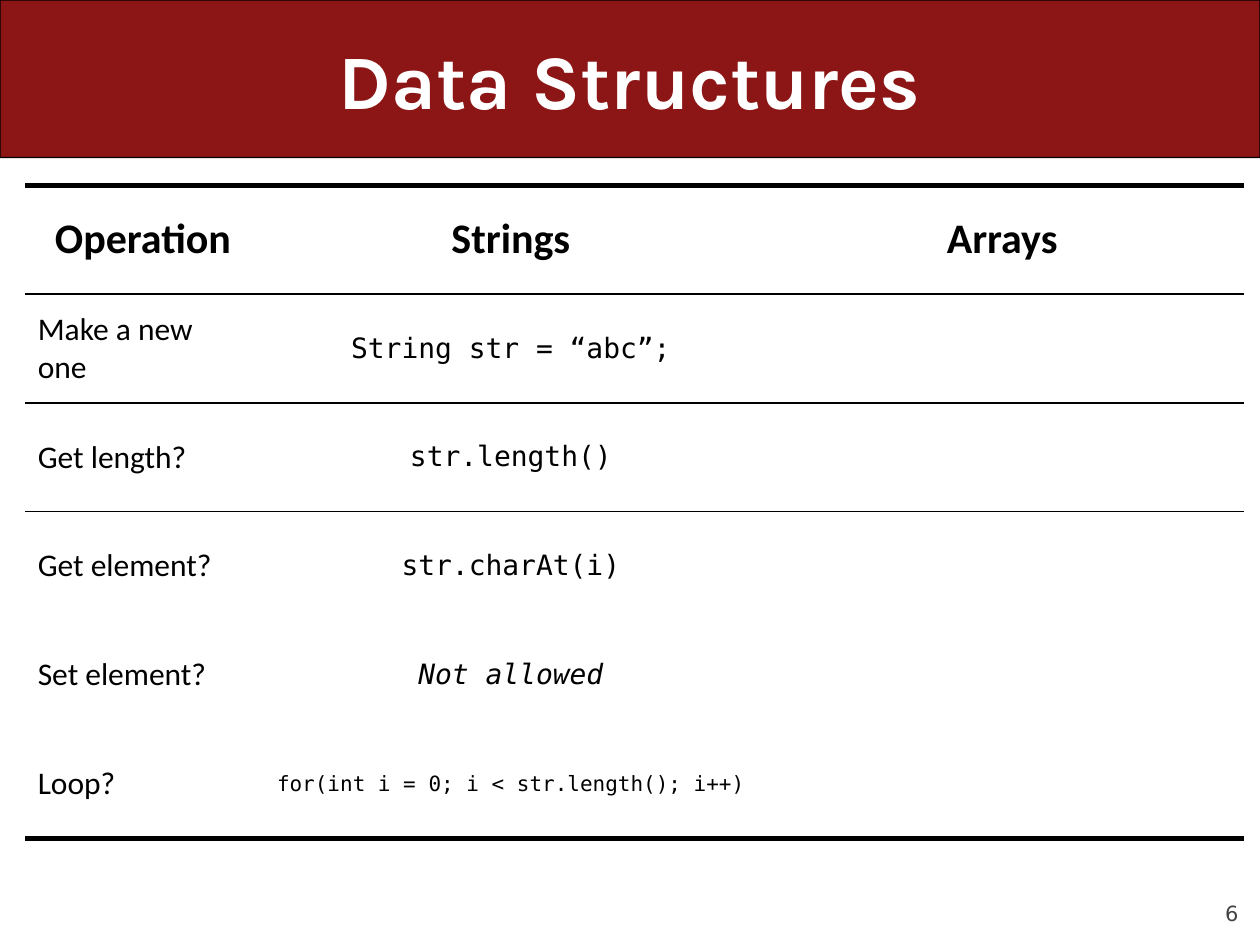
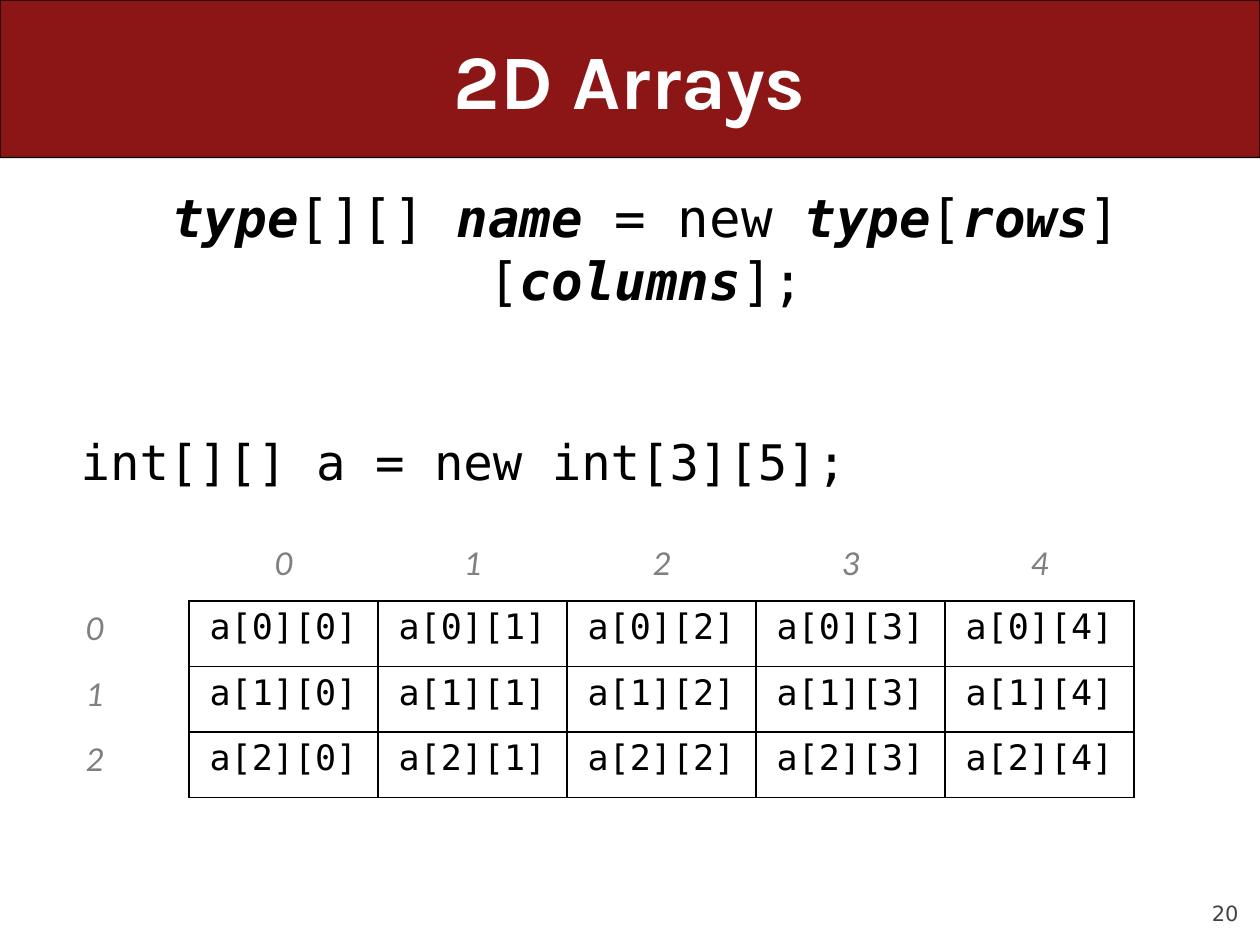
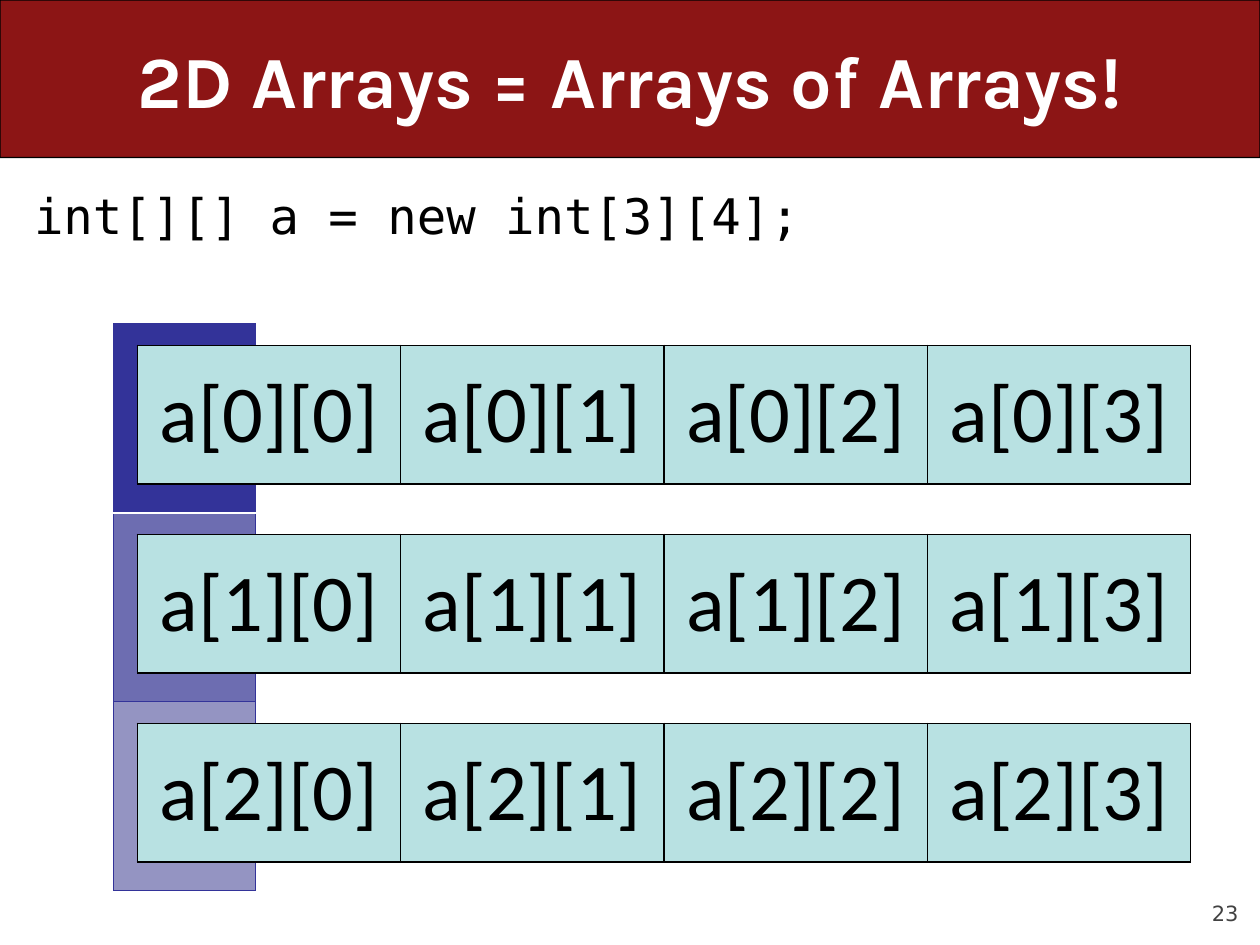
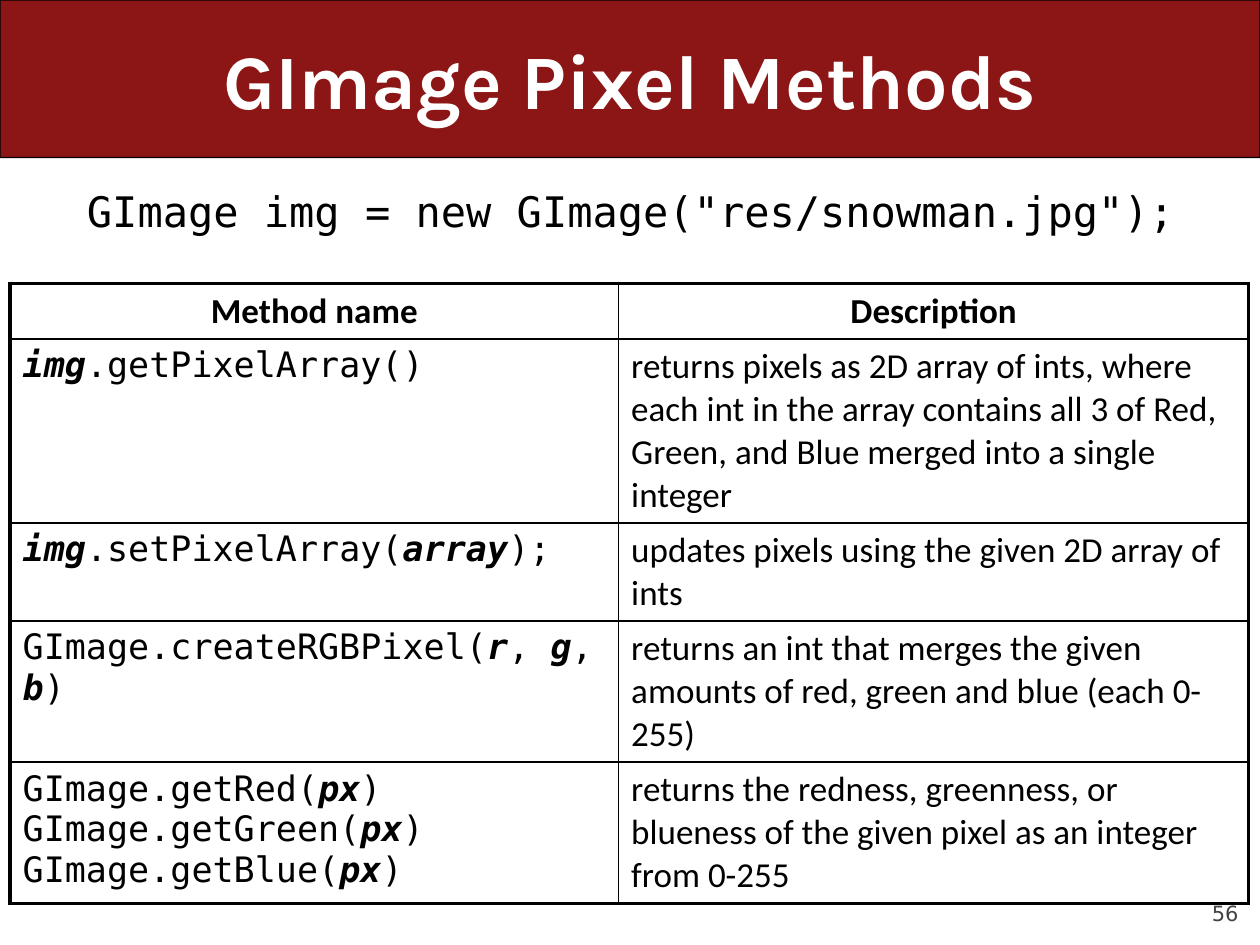
"""Build four lecture slides on arrays, 2D arrays and pixel methods."""
from lxml import etree
from pptx import Presentation
from pptx import util as u
from pptx.dml.color import RGBColor
from pptx.enum import shapes, text
from pptx.oxml import ns

WIDTH, HEIGHT, BAND_HEIGHT = 10, 7.5, 1.25
CARDINAL = RGBColor(0x8C, 0x15, 0x15)
WHITE = RGBColor(0xFF, 0xFF, 0xFF)
BLACK = RGBColor(0, 0, 0)
GRAY = RGBColor(0x80, 0x80, 0x80)
NUMBER_GRAY = RGBColor(0x42, 0x42, 0x42)
INDIGO = RGBColor(0x33, 0x33, 0x99)
OUTER_FILLS = [INDIGO, RGBColor(0x6D, 0x6D, 0xB1), RGBColor(0x94, 0x94, 0xC2)]
PALE_TEAL = RGBColor(0xB8, 0xE1, 0xE2)
TITLE_FONT, TEXT_FONT, CODE_FONT, NUMBER_FONT = (
    "Karla", "Calibri", "DejaVu Sans Mono", "DejaVu Sans")
NO_STYLE = "{2D5ABB26-0587-4C30-8999-92F81FD0307C}"
LEFT, CENTER, RIGHT = text.PP_ALIGN.LEFT, text.PP_ALIGN.CENTER, text.PP_ALIGN.RIGHT
TOP, MIDDLE, BOTTOM = text.MSO_ANCHOR.TOP, text.MSO_ANCHOR.MIDDLE, text.MSO_ANCHOR.BOTTOM

OPERATIONS = [
    ("Operation", "Strings", "Arrays"),
    ("Make a new one", "String str = “abc”;", ""),
    ("Get length?", "str.length()", ""),
    ("Get element?", "str.charAt(i)", ""),
    ("Set element?", "Not allowed", ""),
    ("Loop?", "for(int i = 0; i < str.length(); i++)", ""),
]
SYNTAX = "*type*[][] *name* = new *type*[*rows*][*columns*];"
METHODS = [
    ("Method name", "Description"),
    ("*img*.getPixelArray()",
     "returns pixels as 2D array of ints, where each int in the array contains "
     "all 3 of Red, Green, and Blue merged into a single integer"),
    ("*img*.setPixelArray(*array*);",
     "updates pixels using the given 2D array of ints"),
    ("GImage.createRGBPixel(*r*, *g*, *b*)",
     "returns an int that merges the given amounts of red, green and blue (each 0-255)"),
    ("GImage.getRed(*px*)\nGImage.getGreen(*px*)\nGImage.getBlue(*px*)",
     "returns the redness, greenness, or blueness of the given pixel as an integer "
     "from 0-255"),
]


def place(shape, left, top, width, height):
    shape.left, shape.top = u.Inches(left), u.Inches(top)
    shape.width, shape.height = u.Inches(width), u.Inches(height)


def write(paragraph, content, size, font=TEXT_FONT, color=BLACK, align=LEFT,
          bold=False, italic=False):
    """Write text whose *starred* parts are bold italic."""
    paragraph.alignment = align
    for number, line in enumerate(content.split("\n")):
        if number:
            paragraph.add_line_break()
        for index, part in enumerate(line.split("*")):
            if not part:
                continue
            run = paragraph.add_run()
            run.text = part
            run.font.size = u.Pt(size)
            run.font.name = font
            run.font.color.rgb = color
            run.font.bold = bold or index % 2 == 1
            run.font.italic = italic or index % 2 == 1


def add_slide(presentation, layout, title, number, size=44):
    slide = presentation.slides.add_slide(presentation.slide_layouts[layout])
    place(slide.shapes.title, 0.05 * WIDTH, 0, 0.9 * WIDTH, BAND_HEIGHT)
    frame = slide.shapes.title.text_frame
    frame.auto_size = text.MSO_AUTO_SIZE.NONE
    frame.vertical_anchor = MIDDLE
    write(frame.paragraphs[0], title, size, TITLE_FONT, WHITE, CENTER, bold=True)
    box = slide.shapes.add_textbox(0, 0, 0, 0)
    place(box, 9, 6.95, 0.83, 0.4)
    frame = box.text_frame
    frame.word_wrap = True
    frame.vertical_anchor = BOTTOM
    frame.margin_left = frame.margin_right = frame.margin_top = frame.margin_bottom = 0
    write(frame.paragraphs[0], str(number), 12, NUMBER_FONT, NUMBER_GRAY, RIGHT)
    return slide


def add_master_band(presentation, slide):
    band = slide.shapes.add_shape(shapes.MSO_SHAPE.ROUNDED_RECTANGLE, 0, 0, 0, 0)
    place(band, 0, 0, WIDTH, BAND_HEIGHT)
    band.adjustments[0] = 0.001
    band.shadow.inherit = False
    band.fill.solid()
    band.fill.fore_color.rgb = CARDINAL
    band.line.color.rgb = BLACK
    band.line.width = u.Pt(0.75)
    band.element.nvSpPr.cNvPr.set("id", "99")
    presentation.slide_master.shapes.element.insert(2, band.element)


def fill_body(slide, lines):
    """Fill the body with (content, size, align, level, indent, space before)."""
    body = slide.placeholders[1]
    place(body, 0.17, 1.42, 9.67, 5.67)
    frame = body.text_frame
    frame.auto_size = text.MSO_AUTO_SIZE.NONE
    for number, (content, size, align, level, indent, space) in enumerate(lines):
        paragraph = frame.add_paragraph() if number else frame.paragraphs[0]
        paragraph.level = level
        paragraph.space_before = u.Pt(space)
        properties = paragraph._p.get_or_add_pPr()
        properties.set("marL", str(u.Inches(indent)))
        properties.set("indent", "0")
        etree.SubElement(properties, ns.qn("a:buNone"))
        write(paragraph, content, size, CODE_FONT, align=align)


def set_borders(cell, borders):
    """Draw borders given as {side: (width, color)}."""
    properties = cell._tc.get_or_add_tcPr()
    for side in "LRTB":
        if side in borders:
            width, color = borders[side]
            line = etree.SubElement(properties, ns.qn(f"a:ln{side}"), w=str(u.Pt(width)))
            solid = etree.SubElement(line, ns.qn("a:solidFill"))
            etree.SubElement(solid, ns.qn("a:srgbClr"), val=str(color))


def grid_borders(row, column, rows, columns, outer=1, inner=1):
    return {"L": (inner if column else outer, BLACK),
            "R": (inner if column < columns - 1 else outer, BLACK),
            "T": (inner if row else outer, BLACK),
            "B": (inner if row < rows - 1 else outer, BLACK)}


def add_table(slide, left, top, widths, heights, describe):
    """Add a table; describe(row, column) gives content, style, anchor, fill, borders."""
    table = slide.shapes.add_table(
        len(heights), len(widths), u.Inches(left), u.Inches(top),
        u.Inches(sum(widths)), u.Inches(sum(heights))).table
    table.first_row = table.horz_banding = False
    table._tbl.tblPr.find(ns.qn("a:tableStyleId")).text = NO_STYLE
    for column, width in enumerate(widths):
        table.columns[column].width = u.Inches(width)
    for row, height in enumerate(heights):
        table.rows[row].height = u.Inches(height)
        for column in range(len(widths)):
            cell = table.cell(row, column)
            content, style, anchor, fill, borders = describe(row, column)
            set_borders(cell, borders)
            cell.vertical_anchor = anchor
            if fill is None:
                cell.fill.background()
            else:
                cell.fill.solid()
                cell.fill.fore_color.rgb = fill
            if content:
                write(cell.text_frame.paragraphs[0], content, **style)


def describe_operation(row, column):
    last = len(OPERATIONS) - 1
    if row == 0:
        style = dict(size=24, align=CENTER, bold=True)
    elif column == 0:
        style = dict(size=18)
    else:
        style = dict(size=12 if row == last else 16, font=CODE_FONT, align=CENTER,
                     italic=OPERATIONS[row][column] == "Not allowed")
    rules = {0: {"T": (3, BLACK), "B": (1, BLACK)},
             1: {"T": (1, BLACK), "B": (1, BLACK)},
             2: {"T": (1, BLACK)},
             last: {"B": (3, BLACK)}}
    return OPERATIONS[row][column], style, MIDDLE, WHITE, rules.get(row, {})


def describe_element(row, column):
    if row and column:
        style = dict(size=20, font=CODE_FONT, align=CENTER)
        content = f"a[{row - 1}][{column - 1}]"
        return content, style, TOP, None, grid_borders(row, column, 4, 6)
    style = dict(size=20, color=GRAY, align=CENTER, italic=True)
    content = str(row + column - 1) if row or column else ""
    borders = {"B": (1, BLACK)} if column else {"R": (1, BLACK)} if row else {}
    return content, style, TOP, None, borders


def describe_outer(row, column):
    borders = {side: (0.5, INDIGO) for side in "LRTB"}
    if row == 0:
        borders["B"] = (1, WHITE)
    elif row == 1:
        borders["T"] = (1, WHITE)
    return "", {}, TOP, OUTER_FILLS[row], borders


def describe_method(row, column):
    if row == 0:
        style = dict(size=20, align=CENTER, bold=True)
    else:
        style = dict(size=20, font=TEXT_FONT if column else CODE_FONT)
    borders = grid_borders(row, column, len(METHODS), 2, outer=2.25)
    return METHODS[row][column], style, TOP, WHITE, borders


def main():
    presentation = Presentation()
    presentation.slide_width = u.Inches(WIDTH)
    presentation.slide_height = u.Inches(HEIGHT)

    slide = add_slide(presentation, 5, "Data Structures", 6)
    add_master_band(presentation, slide)
    add_table(slide, 0.2, 1.47, [1.87, 3.97, 3.83], [0.864] * len(OPERATIONS),
              describe_operation)

    slide = add_slide(presentation, 1, "2D Arrays", 20)
    fill_body(slide, [(SYNTAX, 30, CENTER, 0, 0.25, 0),
                      ("int[][] a = new int[3][5];", 28, LEFT, 1, 0.37, 69)])
    add_table(slide, 0, 4.25, [1.5] * 6, [0.52] * 4, describe_element)

    slide = add_slide(presentation, 1, "2D Arrays = Arrays of Arrays!", 23, size=42)
    fill_body(slide, [("int[][] a = new int[3][4];", 28, LEFT, 0, 0, 0)])
    add_table(slide, 0.9, 2.57, [1.13], [1.5] * 3, describe_outer)
    for index in range(3):
        def describe_inner(row, column):
            return (f"a[{index}][{column}]", dict(size=46, align=CENTER), MIDDLE,
                    PALE_TEAL, grid_borders(row, column, 1, 4))
        add_table(slide, 1.09, 2.74 + 1.5 * index, [2.09] * 4, [1.1], describe_inner)

    slide = add_slide(presentation, 1, "GImage Pixel Methods", 56)
    fill_body(slide, [('GImage img = new GImage("res/snowman.jpg");', 24, CENTER, 0, 0, 0)])
    add_table(slide, 0.08, 2.25, [4.83, 5], [0.44, 1.46, 0.78, 1.12, 1.12],
              describe_method)

    presentation.save("out.pptx")


if __name__ == "__main__":
    main()
